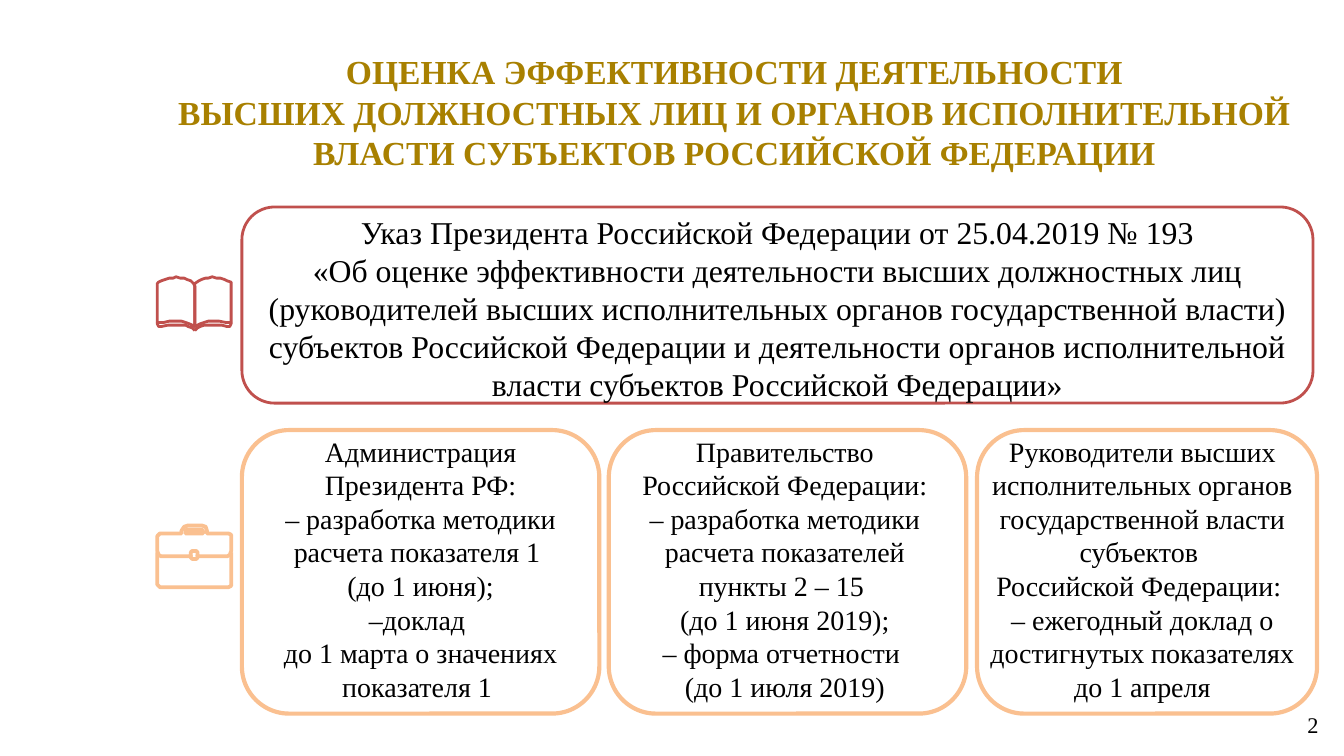
from pptx import Presentation
from pptx.dml.color import RGBColor
from pptx.enum.shapes import MSO_SHAPE
from pptx.enum.text import PP_ALIGN
from pptx.util import Inches, Pt

ROUND_RECT = MSO_SHAPE.ROUNDED_RECTANGLE
CENTER, LEFT = PP_ALIGN.CENTER, PP_ALIGN.LEFT
FONT = "Times New Roman"
GOLD, RED, ORANGE, BLACK, WHITE = "A88000", "C0504D", "FAC090", "000000", "FFFFFF"

TITLE = [
    "ОЦЕНКА ЭФФЕКТИВНОСТИ ДЕЯТЕЛЬНОСТИ",
    "ВЫСШИХ ДОЛЖНОСТНЫХ ЛИЦ И ОРГАНОВ ИСПОЛНИТЕЛЬНОЙ ВЛАСТИ СУБЪЕКТОВ "
    "РОССИЙСКОЙ ФЕДЕРАЦИИ",
]
DECREE = [
    "Указ Президента Российской Федерации от 25.04.2019 № 193",
    "«Об оценке эффективности деятельности высших должностных лиц "
    "(руководителей высших исполнительных органов государственной власти) "
    "субъектов Российской Федерации и деятельности органов исполнительной "
    "власти субъектов Российской Федерации»",
]
# box left, box width, text left, text width, paragraphs
DUTIES = [
    (1.8, 2.66, 1.8, 2.66, [
        "Администрация Президента РФ:",
        "– разработка методики расчета показателя 1 ",
        "(до 1 июня);",
        "–доклад ",
        "до 1 марта о значениях показателя 1 ",
    ]),
    (4.53, 2.66, 4.57, 2.54, [
        "Правительство Российской Федерации:",
        "– разработка методики расчета показателей пункты 2 – 15 ",
        "(до 1 июня 2019);",
        "– форма отчетности ",
        "(до 1 июля 2019)",
    ]),
    (7.27, 2.53, 7.23, 2.54, [
        "Руководители высших исполнительных органов государственной власти субъектов ",
        "Российской Федерации: ",
        "– ежегодный доклад о достигнутых показателях до 1 апреля",
    ]),
]

# Icon outlines in hundredths of an inch; x is the distance from the icon's middle
ICON_MIDDLE = 144.6
PAGE = [(0, 213), (0, 243), (-2, 242), (-4, 241), (-7, 240), (-10, 239.2),
        (-13.5, 239), (-18.5, 239.2), (-23, 240), (-26, 240.4), (-27.2, 240),
        (-27.5, 239), (-27.5, 211), (-27, 210), (-24.5, 209), (-22, 207.8),
        (-19, 207), (-16, 206.6), (-13.5, 206.5), (-10.5, 206.7), (-8, 207.1),
        (-5.5, 208), (-3, 209.3), (-0.5, 211)]
PAGE_EDGE = [(-27.5, 240), (-27.5, 241), (-26.5, 243), (-24.5, 243.3), (-20, 242.2),
             (-16, 241.6), (-13.5, 241.5), (-10, 241.8), (-7, 242.3), (-4.5, 243.2),
             (-2, 244.4), (0, 246)]
CASE_SIDE = [(-2.5, 414), (-24.5, 414), (-26.5, 413), (-27.5, 410), (-27.5, 399),
             (-27, 397.5), (-25.5, 397), (-9.5, 397), (-9.5, 395), (-8, 392),
             (-5, 391)]
HANDLE_SIDE = [(-6.5, 397), (-6.5, 395), (-5.5, 394), (-5, 394)]
CLASP_TOP = [(-1.5, 410), (-2.5, 411), (-2.5, 414)]
CLASP_SIDE = [(-2.5, 413), (-2.5, 415), (-1.5, 416)]
CASE_BOTTOM = [(-27.5, 411), (-27.5, 435), (-27, 436.5), (-25.5, 437)]


def rgb(color):
    return RGBColor.from_string(color)


def mirror(points):
    return [(-x, y) for x, y in points]


def whole(left_half):
    """Join a left half with its mirrored right half."""
    return left_half + mirror(left_half)[::-1]


def add_box(s, left, top, width, height, color, weight):
    sp = s.shapes.add_shape(ROUND_RECT, Inches(left), Inches(top),
                            Inches(width), Inches(height))
    sp.shadow.inherit = False
    sp.fill.solid()
    sp.fill.fore_color.rgb = rgb(WHITE)
    sp.line.color.rgb = rgb(color)
    sp.line.width = Pt(weight)


def add_text(s, left, top, width, height, paragraphs, size, color=BLACK,
             bold=False, align=CENTER, insets=(0.1, 0.1)):
    sp = s.shapes.add_textbox(Inches(left), Inches(top), Inches(width), Inches(height))
    tf = sp.text_frame
    tf.word_wrap = True
    tf.margin_left = tf.margin_right = Inches(insets[0])
    tf.margin_top = tf.margin_bottom = Inches(insets[1])
    for i, text in enumerate(paragraphs):
        p = tf.paragraphs[0] if i == 0 else tf.add_paragraph()
        p.alignment = align
        r = p.add_run()
        r.text = text
        r.font.name = FONT
        r.font.size = Pt(size)
        r.font.bold = bold
        r.font.color.rgb = rgb(color)


def add_outline(s, contours, color, weight, close):
    placed = [[(x + ICON_MIDDLE, y) for x, y in c] for c in contours]
    builder = s.shapes.build_freeform(*placed[0][0], scale=Inches(0.01))
    builder.add_line_segments(placed[0][1:], close=close)
    for contour in placed[1:]:
        builder.move_to(*contour[0])
        builder.add_line_segments(contour[1:], close=close)
    sp = builder.convert_to_shape()
    sp.shadow.inherit = False
    sp.fill.background()
    sp.line.color.rgb = rgb(color)
    sp.line.width = Pt(weight)


prs = Presentation()
prs.slide_width = Inches(10)
prs.slide_height = prs.slide_width * 9 // 16
s = prs.slides.add_slide(prs.slide_layouts[6])

add_text(s, 1.17, 0.34, 8.59, 0.91, TITLE, 18, GOLD, bold=True, insets=(0.07, 0.04))

add_box(s, 1.8, 1.54, 7.97, 1.46, RED, 1.5)
add_text(s, 1.8, 1.48, 7.97, 0.82, DECREE, 17)

for box_left, box_width, text_left, text_width, paragraphs in DUTIES:
    add_box(s, box_left, 3.2, box_width, 2.11, ORANGE, 2.25)
    add_text(s, text_left, 3.13, text_width, 2.23, paragraphs, 15)

# Open book
for outline, close in ((PAGE_EDGE, False), (PAGE, True)):
    for side in (outline, mirror(outline)):
        add_outline(s, [side], RED, 1.5, close)

# Briefcase
case_top = whole(CASE_SIDE) + whole(CLASP_TOP[::-1])[::-1]
add_outline(s, [case_top, whole(HANDLE_SIDE)], ORANGE, 2, True)
for half in (CLASP_SIDE, CASE_BOTTOM):
    add_outline(s, [whole(half)], ORANGE, 2, False)

add_text(s, 9.63, 5.24, 0.47, 0.3, ["2"], 12, align=LEFT, insets=(0.1, 0.05))

prs.save("out.pptx")
